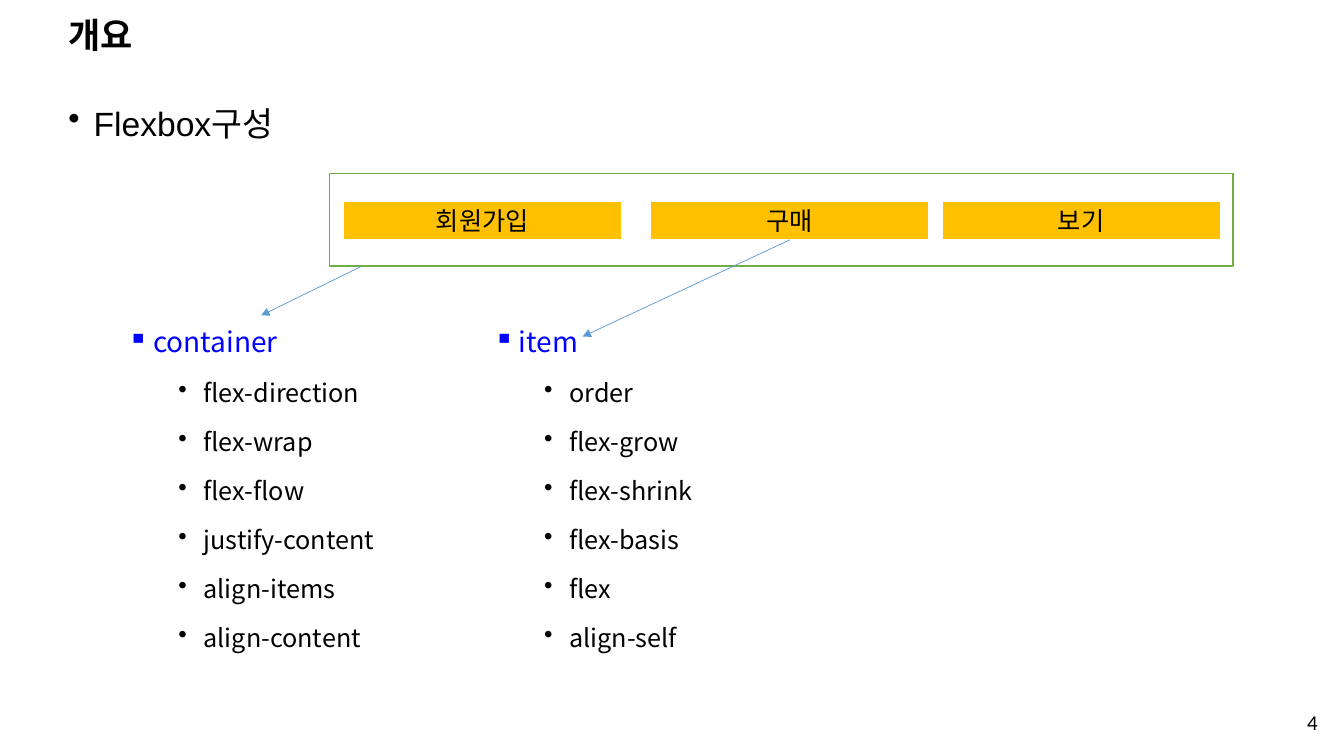
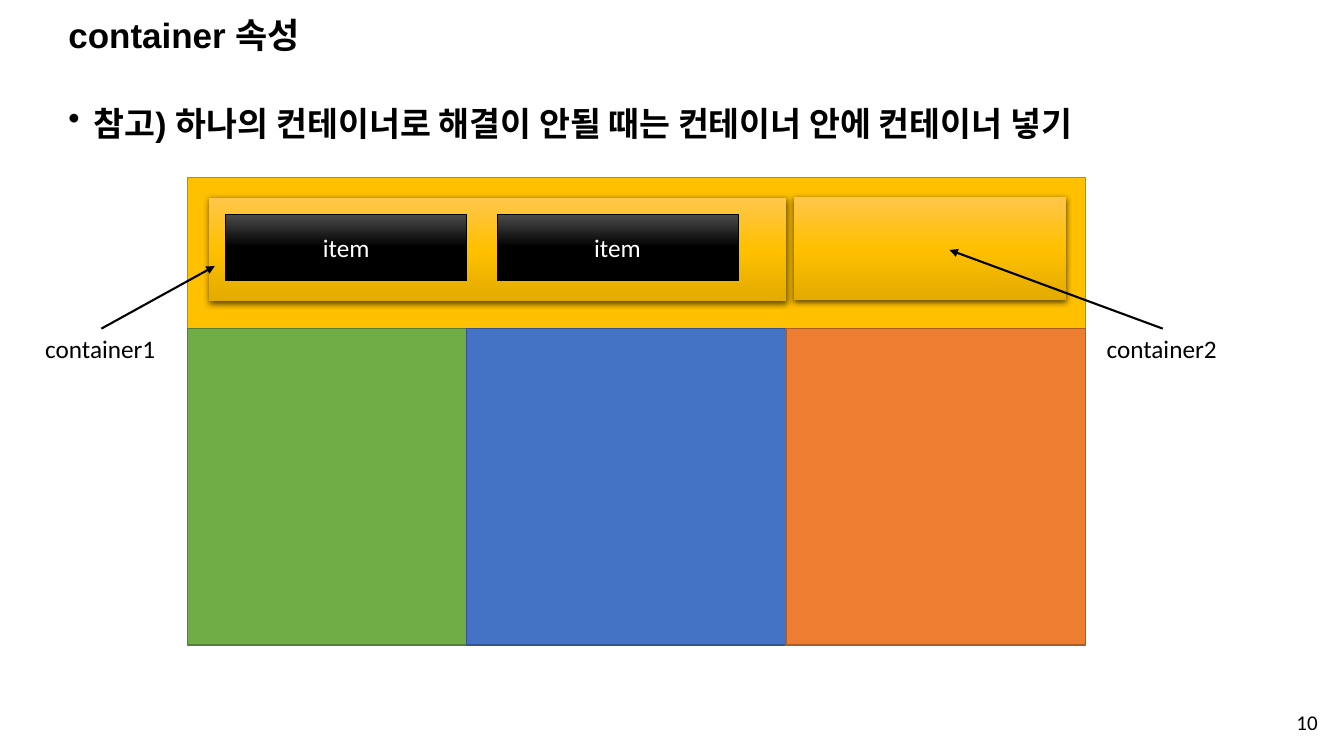
"""Build two slides on the parts of a Flexbox layout."""
from copy import deepcopy

from lxml.etree import SubElement
from pptx import Presentation
from pptx.dml.color import RGBColor as Color
from pptx.enum.shapes import MSO_CONNECTOR as Connector
from pptx.enum.shapes import MSO_SHAPE as Preset
from pptx.enum.text import MSO_ANCHOR as Anchor
from pptx.enum.text import PP_ALIGN as Align
from pptx.oxml.ns import qn
from pptx.util import Inches, Pt

COLORS = {
    "black": "000000", "white": "FFFFFF", "blue_text": "0000FF",
    "gold": "FFC000", "gold_edge": "BD8E00",
    "green": "70AD47", "green_edge": "538035",
    "blue": "4472C4", "blue_edge": "325491",
    "orange": "ED7D31", "orange_edge": "AF5C24",
    "arrow": "5B9BD5",
}
GRADIENTS = {
    "gold": ("FFC64B", "FFC000", "E3AB00"),
    "black": ("4B4B4B", "000000", "000000"),
}
KOREAN = "Noto Sans CJK KR"

presentation = Presentation()
presentation.slide_width = Inches(13.33)
presentation.slide_height = Inches(7.5)
COLUMN = presentation.slide_width / 100
ROW = presentation.slide_height / 100


def add_box(slide, left, top, width, height, fill=None, line=None, points=1, gradient=None):
    """Add a rectangle, or a text box when it has no fill, placed in percent of the slide."""
    place = [int(left * COLUMN), int(top * ROW), int(width * COLUMN), int(height * ROW)]
    if not fill and not gradient:
        shape = slide.shapes.add_textbox(*place)
        shape.text_frame.word_wrap = True
        return shape
    shape = slide.shapes.add_shape(Preset.RECTANGLE, *place)
    shape.shadow.inherit = False
    if gradient:
        shape.fill.gradient()
        shape.fill.gradient_angle = 270
        stop_list = shape._element.spPr.find(".//" + qn("a:gsLst"))
        stop_list.append(deepcopy(stop_list[-1]))
        for index, stop in enumerate(shape.fill.gradient_stops):
            stop.position = index / 2
            stop.color.rgb = Color.from_string(GRADIENTS[gradient][index])
    else:
        shape.fill.solid()
        shape.fill.fore_color.rgb = Color.from_string(COLORS[fill])
    if line:
        shape.line.color.rgb = Color.from_string(COLORS[line])
        shape.line.width = Pt(points)
    else:
        shape.line.fill.background()
    return shape


def write(paragraph, text, size, font="Calibri", color="black", bold=False,
          align=Align.LEFT, bullet=None, indent=0.25):
    """Fill a paragraph with text in one style."""
    paragraph.text = text
    paragraph.alignment = align
    properties = paragraph._p.get_or_add_pPr()
    if bullet:
        properties.set("marL", str(Inches(indent)))
        properties.set("indent", str(Inches(-0.25)))
        SubElement(properties, qn("a:buChar"), char=bullet)
    paragraph.font.size = Pt(size)
    paragraph.font.name = font
    paragraph.font.bold = bold
    paragraph.font.color.rgb = Color.from_string(COLORS[color])
    SubElement(properties.find(qn("a:defRPr")), qn("a:ea"), typeface=KOREAN)


slides = []
for title, heading, bold, number in [
    ("개요", "Flexbox구성", False, "4"),
    ("container 속성", "참고) 하나의 컨테이너로 해결이 안될 때는 컨테이너 안에 컨테이너 넣기", True, "10"),
]:
    slide = presentation.slides.add_slide(presentation.slide_layouts[6])
    slides.append(slide)
    title_frame = add_box(slide, 4.35, 2.4, 86.25, 5.07).text_frame
    title_frame.vertical_anchor = Anchor.MIDDLE
    write(title_frame.paragraphs[0], title, 25, "Arial", bold=True)
    title_frame.paragraphs[0].line_spacing = 0.9
    heading_frame = add_box(slide, 4.35, 12.93, 89.5, 8).text_frame
    write(heading_frame.paragraphs[0], heading, 24, "Arial", bold=bold, bullet="•")
    number_frame = add_box(slide, 70.65, 92.67, 28.13, 5.6).text_frame
    number_frame.vertical_anchor = Anchor.MIDDLE
    write(number_frame.paragraphs[0], number, 15, align=Align.RIGHT)

overview, nesting = slides

add_box(overview, 24.53, 22.93, 67.2, 12.27, "white", "green")
buttons = {}
for left, label in [(25.5, "회원가입"), (48.38, "구매"), (70.05, "보기")]:
    button = add_box(overview, left, 26.53, 20.78, 5.2, "gold", "white", 1.5)
    write(button.text_frame.paragraphs[0], label, 18, align=Align.CENTER)
    buttons[label] = button

for left, name, entries in [
    (5.03, "container", ["flex-direction", "flex-wrap", "flex-flow",
                         "justify-content", "align-items", "align-content"]),
    (32.25, "item", ["order", "flex-grow", "flex-shrink", "flex-basis", "flex", "align-self"]),
]:
    frame = add_box(overview, left, 41.2, 30, 46).text_frame
    write(frame.paragraphs[0], name, 20, KOREAN, "blue_text", bullet="▪", indent=0.75)
    frame.paragraphs[0].line_spacing = Pt(30)
    for entry in entries:
        paragraph = frame.add_paragraph()
        write(paragraph, entry, 18, KOREAN, bullet="•", indent=1.25)
        paragraph.line_spacing = Pt(30)
        paragraph.space_before = Pt(5)

add_box(nesting, 13.95, 23.47, 66.83, 20, "gold", "gold_edge")
left = 13.95
for color, width in [("green", 20.75), ("blue", 23.77), ("orange", 22.31)]:
    add_box(nesting, left, 43.47, width, 41.87, color, color + "_edge")
    left += width

for left, top, width in [(15.53, 26.13, 42.98), (59.1, 26, 20.25)]:
    container = add_box(nesting, left, top, width, 13.73, gradient="gold")
    effects = container._element.spPr.find(qn("a:effectLst"))
    shadow = SubElement(effects, qn("a:outerShdw"), blurRad=str(Pt(4.5)), dist=str(Pt(1.5)),
                        dir="5400000", algn="ctr", rotWithShape="0")
    shadow_color = SubElement(shadow, qn("a:srgbClr"), val=COLORS["black"])
    SubElement(shadow_color, qn("a:alpha"), val="63000")

for left in (16.8, 36.98):
    item = add_box(nesting, left, 28.33, 17.93, 8.8, line="black", points=0.5, gradient="black")
    write(item.text_frame.paragraphs[0], "item", 18, color="white", align=Align.CENTER)

labels = []
for left, name in [(2.63, "container1"), (81.6, "container2")]:
    label = add_box(nesting, left, 43.47, 9.83, 5.33)
    label.text_frame.word_wrap = False
    write(label.text_frame.paragraphs[0], name, 18)
    labels.append(label)

for slide, start, end, color, points, source, side in [
    (overview, (26.93, 35.2), (19.43, 41.73), "arrow", 0.5, None, None),
    (overview, (58.77, 31.73), (43.35, 44.53), "arrow", 0.5, buttons["구매"], 2),
    (nesting, (7.55, 43.47), (15.98, 35.2), "black", 1.5, labels[0], 0),
    (nesting, (86.52, 43.47), (70.65, 33.07), "black", 1.5, labels[1], 0),
]:
    arrow = slide.shapes.add_connector(
        Connector.STRAIGHT, int(start[0] * COLUMN), int(start[1] * ROW),
        int(end[0] * COLUMN), int(end[1] * ROW))
    if source:
        arrow.begin_connect(source, side)
    arrow.line.color.rgb = Color.from_string(COLORS[color])
    arrow.line.width = Pt(points)
    SubElement(arrow.line._get_or_add_ln(), qn("a:tailEnd"), type="triangle")
    SubElement(arrow._element.spPr, qn("a:effectLst"))

presentation.save("out.pptx")
